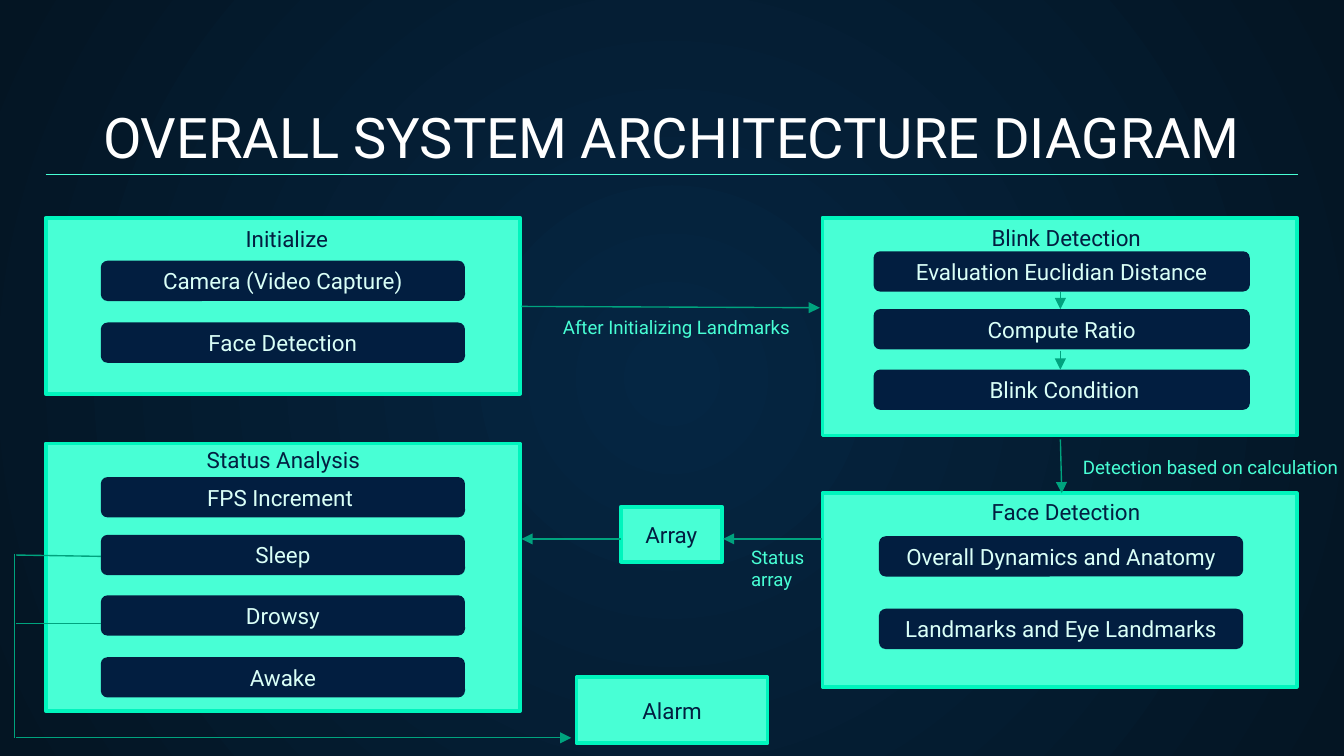
from lxml import etree
from pptx import Presentation
from pptx.dml.color import RGBColor
from pptx.enum.shapes import MSO_CONNECTOR, MSO_SHAPE
from pptx.enum.text import MSO_ANCHOR, PP_ALIGN
from pptx.oxml.ns import qn
from pptx.util import Inches, Pt

RECT, ROUND_RECT = MSO_SHAPE.RECTANGLE, MSO_SHAPE.ROUNDED_RECTANGLE
STRAIGHT = MSO_CONNECTOR.STRAIGHT
MIDDLE, BOTTOM, TOP = MSO_ANCHOR.MIDDLE, MSO_ANCHOR.BOTTOM, MSO_ANCHOR.TOP
CENTER, LEFT = PP_ALIGN.CENTER, PP_ALIGN.LEFT

FONT = "Roboto"
WHITE = RGBColor(0xFF, 0xFF, 0xFF)
MINT = RGBColor(0x48, 0xFF, 0xD5)
MINT_EDGE = RGBColor(0x00, 0xF5, 0xBD)
PALE_MINT = RGBColor(0xDA, 0xFF, 0xF7)
GREEN = RGBColor(0x00, 0xA3, 0x7E)
NAVY = RGBColor(0x02, 0x1E, 0x40)
GLOW = RGBColor(0x05, 0x26, 0x43)
NIGHT = RGBColor(0x04, 0x15, 0x23)

PANEL_WIDTH = 3.53
LEFT_COLUMN, RIGHT_COLUMN = 0.34, 6.12

# Panel: left, top, height, heading, heading offset, step left, step width, steps
# Step: text, offset from the panel top
PANELS = [
    (LEFT_COLUMN, 1.62, 1.31, "Initialize", (1.39, 0.01), 0.41, 2.71,
     [("Camera (Video Capture)", 0.32), ("Face Detection", 0.78)]),
    (RIGHT_COLUMN, 1.62, 1.62, "Blink Detection", (1.16, 0), 0.38, 2.8,
     [("Evaluation Euclidian Distance", 0.25), ("Compute Ratio", 0.68),
      ("\u00a0Blink Condition", 1.13)]),
    (RIGHT_COLUMN, 3.67, 1.44, "Face Detection", (1.16, -0.01), 0.42, 2.71,
     [("Overall Dynamics and Anatomy", 0.32),
      ("Landmarks and Eye Landmarks", 0.86)]),
    (LEFT_COLUMN, 3.3, 1.99, "Status Analysis", (1.1, -0.03), 0.41, 2.71,
     [("FPS Increment\u00a0", 0.25), ("Sleep", 0.68), ("Drowsy", 1.13),
      ("Awake", 1.59)]),
]
NODES = [("Alarm", 4.29, 5.04, 1.42, 0.49), ("Array", 4.62, 3.77, 0.75, 0.41)]
ARROWS = [
    (3.88, 2.28, 6.1, 2.29), (7.89, 3.27, 7.9, 3.67), (6.12, 4.01, 5.38, 4.01),
    (4.62, 4.01, 3.88, 4.01), (0.12, 5.49, 4.25, 5.49),
    (7.89, 2.17, 7.89, 2.3), (7.89, 2.61, 7.89, 2.75),
]
ALARM_LINES = [(0.11, 4.12, 0.11, 5.49), (0.12, 4.13, 0.75, 4.14),
               (0.12, 4.64, 0.75, 4.64)]
LABELS = [
    (["After Initializing\u00a0Landmarks"], 4.09, 2.3, 2.33, 0.27),
    (["Detection based on calculation"], 7.96, 3.34, 2.26, 0.27),
    (["Status ", "array"], 5.49, 4.01, 1.23, 0.44),
]


def write(frame, lines, size, color, align=LEFT, anchor=TOP):
    """Fill a text frame with one paragraph for each line."""
    frame.word_wrap = True
    frame.vertical_anchor = anchor
    for index, line in enumerate(lines):
        para = frame.add_paragraph() if index else frame.paragraphs[0]
        para.alignment = align
        span = para.add_run()
        span.text = line
        span.font.name = FONT
        span.font.size = Pt(size)
        span.font.color.rgb = color


def add_text(page, lines, left, top, width, height, size, color):
    """Place a left-aligned text box."""
    box = page.shapes.add_textbox(*map(Inches, (left, top, width, height)))
    write(box.text_frame, lines, size, color)


def add_box(page, left, top, width, height, text=None):
    """Place a mint rectangle, with centred text if given."""
    box = page.shapes.add_shape(RECT, *map(Inches, (left, top, width, height)))
    box.shadow.inherit = False
    box.fill.solid()
    box.fill.fore_color.rgb = MINT
    box.line.color.rgb = MINT_EDGE
    box.line.width = Pt(2)
    if text:
        write(box.text_frame, [text], 12, NAVY, CENTER, MIDDLE)


def add_step(page, text, left, top, width):
    """Place a dark rounded step."""
    step = page.shapes.add_shape(
        ROUND_RECT, *map(Inches, (left, top, width, 0.3)))
    step.shadow.inherit = False
    step.fill.solid()
    step.fill.fore_color.rgb = NAVY
    step.line.fill.background()
    write(step.text_frame, [text], 12, PALE_MINT, CENTER, MIDDLE)


def add_panel(page, left, top, height, heading, offset, indent, width, steps):
    """Place a panel with its heading and steps."""
    add_box(page, left, top, PANEL_WIDTH, height)
    for text, drop in steps:
        add_step(page, text, left + indent, top + drop, width)
    add_text(page, [heading], left + offset[0], top + offset[1], 3, 0.3,
             12, NAVY)


def add_line(page, ends, color=GREEN, arrow=False):
    """Draw a straight line, with an arrowhead at its end if asked."""
    line = page.shapes.add_connector(STRAIGHT, *map(Inches, ends))
    line.line.color.rgb = color
    line.line.width = Pt(0.75)
    if arrow:
        outline = line.line._get_or_add_ln()
        etree.SubElement(outline, qn("a:tailEnd"), type="triangle")
    etree.SubElement(line._element.spPr, qn("a:effectLst"))


def paint_background(page):
    """Give the page a gradient that darkens from its centre."""
    fill = page.background.fill
    fill.gradient()
    for stop, color in zip(fill.gradient_stops, (GLOW, NIGHT)):
        stop.color.rgb = color
    gradient = page._element.find(".//" + qn("a:gradFill"))
    gradient.remove(gradient.find(qn("a:lin")))
    circle = etree.SubElement(gradient, qn("a:path"), path="circle")
    etree.SubElement(circle, qn("a:fillToRect"),
                     l="50000", t="50000", r="50000", b="50000")


def add_title(page, text):
    """Place the title and the rule under it."""
    title = page.shapes.title
    title.left, title.top = Inches(0.34), Inches(0.7)
    title.width, title.height = Inches(9.32), Inches(0.66)
    frame = title.text_frame
    frame.margin_left = frame.margin_right = Inches(0.1)
    frame.margin_top = frame.margin_bottom = Inches(0.1)
    write(frame, [text], 30, WHITE, CENTER, BOTTOM)
    add_line(page, (0.34, 1.3, 9.66, 1.3), MINT)


def build_diagram(page):
    """Place the panels, nodes, lines and labels."""
    for panel in PANELS:
        add_panel(page, *panel)
    for text, *place in NODES:
        add_box(page, *place, text)
    for ends in ARROWS:
        add_line(page, ends, arrow=True)
    for ends in ALARM_LINES:
        add_line(page, ends)
    for label in LABELS:
        add_text(page, *label, 10, MINT)


deck = Presentation()
deck.slide_width = Inches(10)
deck.slide_height = deck.slide_width * 9 // 16
page = deck.slides.add_slide(deck.slide_layouts[5])
paint_background(page)
add_title(page, "OVERALL SYSTEM ARCHITECTURE DIAGRAM")
build_diagram(page)
deck.save("out.pptx")
